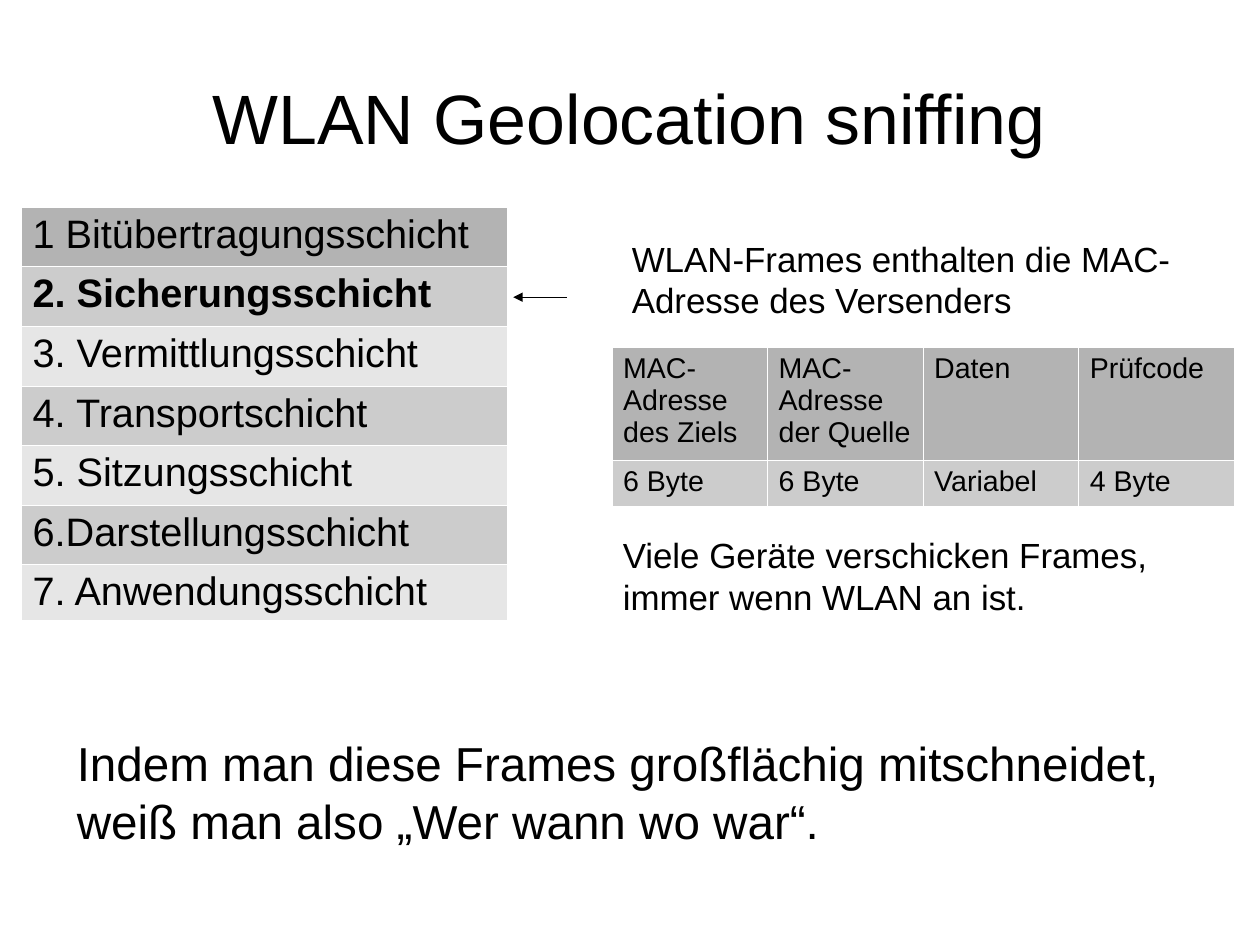
from dataclasses import dataclass

from lxml import etree
from pptx import Presentation
from pptx.dml.color import RGBColor
from pptx.enum.shapes import MSO_CONNECTOR
from pptx.enum.text import MSO_ANCHOR, PP_ALIGN
from pptx.oxml.ns import qn
from pptx.util import Pt

BLACK = RGBColor(0x00, 0x00, 0x00)
HEADER_GREY = RGBColor(0xB3, 0xB3, 0xB3)
MID_GREY = RGBColor(0xCC, 0xCC, 0xCC)
LIGHT_GREY = RGBColor(0xE6, 0xE6, 0xE6)
BORDER_COLOR = "FFFFFF"
BORDER_EMU = "720"

STRAIGHT = MSO_CONNECTOR.STRAIGHT
LEFT, CENTER = PP_ALIGN.LEFT, PP_ALIGN.CENTER
TOP, MIDDLE = MSO_ANCHOR.TOP, MSO_ANCHOR.MIDDLE


@dataclass
class TextBlock:
    lines: list[str]  # one paragraph each, \v breaks a line
    left: float
    top: float
    width: float
    height: float
    size: float
    align: PP_ALIGN = LEFT
    anchor: MSO_ANCHOR = TOP
    margins: tuple[float, float] = (7.2, 3.6)


@dataclass
class Grid:
    rows: list[list[str]]
    left: float
    top: float
    col_width: float
    row_heights: list[float]
    size: float
    bold_row: int | None = None


TEXTS = [
    TextBlock(["WLAN Geolocation sniffing"], 39.6, 23.76, 714.24, 99.36, 44,
              CENTER, MIDDLE, (0, 0)),
    TextBlock(["WLAN-Frames enthalten die MAC-\vAdresse des Versenders"],
              390.96, 145.8, 357.12, 80.64, 22),
    TextBlock(["Viele Geräte verschicken Frames,\vimmer wenn WLAN an ist."],
              385.2, 332.64, 385.2, 80.64, 22),
    TextBlock(["Indem man diese Frames großflächig mitschneidet,",
               "weiß man also „Wer wann wo war“."],
              41.3, 459, 700, 80.64, 30),
]

OSI_LAYERS = Grid(
    [["1 Bitübertragungsschicht"], ["2. Sicherungsschicht"],
     ["3. Vermittlungsschicht"], ["4. Transportschicht"],
     ["5. Sitzungsschicht"], ["6.Darstellungsschicht"],
     ["7. Anwendungsschicht"]],
    13.4, 130.3, 306, [37.55] * 6 + [35.2], 25, bold_row=1)

FRAME_FIELDS = Grid(
    [["MAC-Adresse des Ziels", "MAC-Adresse der Quelle", "Daten", "Prüfcode"],
     ["6 Byte", "6 Byte", "Variabel", "4 Byte"]],
    385.3, 218.4, 98, [71.5, 29], 18)


def style_runs(p, size: float, bold: bool = False) -> None:
    formats = {"name": "Arial", "size": Pt(size), "bold": bold}
    for r in p.runs:
        for name, value in formats.items():
            setattr(r.font, name, value)
        r.font.color.rgb = BLACK


def add_text(s, block: TextBlock) -> None:
    box = s.shapes.add_textbox(Pt(block.left), Pt(block.top),
                               Pt(block.width), Pt(block.height))
    tf = box.text_frame
    side, edge = map(Pt, block.margins)
    formats = {"word_wrap": True, "vertical_anchor": block.anchor,
               "margin_left": side, "margin_right": side,
               "margin_top": edge, "margin_bottom": edge}
    for name, value in formats.items():
        setattr(tf, name, value)
    for i, line in enumerate(block.lines):
        p = tf.add_paragraph() if i else tf.paragraphs[0]
        p.text = line
        p.alignment = block.align
        style_runs(p, block.size)


def add_borders(cell) -> None:
    tc_pr = cell._tc.get_or_add_tcPr()
    for side in ("lnL", "lnR", "lnT", "lnB"):
        ln = etree.SubElement(tc_pr, qn(f"a:{side}"), w=BORDER_EMU)
        fill = etree.SubElement(ln, qn("a:solidFill"))
        etree.SubElement(fill, qn("a:srgbClr"), val=BORDER_COLOR)


def row_fill(row: int) -> RGBColor:
    if row == 0:
        return HEADER_GREY
    return MID_GREY if row % 2 else LIGHT_GREY


def add_grid(s, grid: Grid) -> None:
    columns = len(grid.rows[0])
    table = s.shapes.add_table(
        len(grid.rows), columns, Pt(grid.left), Pt(grid.top),
        Pt(grid.col_width * columns), Pt(sum(grid.row_heights))).table
    table.first_row = table.horz_banding = False
    for column in table.columns:
        column.width = Pt(grid.col_width)
    for i, (texts, height) in enumerate(zip(grid.rows, grid.row_heights)):
        table.rows[i].height = Pt(height)
        for j, text in enumerate(texts):
            cell = table.cell(i, j)
            cell.text = text
            style_runs(cell.text_frame.paragraphs[0], grid.size,
                       i == grid.bold_row)
            add_borders(cell)
            cell.fill.solid()
            cell.fill.fore_color.rgb = row_fill(i)


def add_arrow(s, x1: float, x2: float, y: float) -> None:
    arrow = s.shapes.add_connector(STRAIGHT, Pt(x1), Pt(y), Pt(x2), Pt(y))
    arrow.line.color.rgb = BLACK
    ln = arrow.line._get_or_add_ln()
    ln.set("w", "0")  # hairline
    etree.SubElement(ln, qn("a:tailEnd"), type="triangle")
    etree.SubElement(arrow._element.spPr, qn("a:effectLst"))


def main() -> None:
    prs = Presentation()
    prs.slide_width, prs.slide_height = Pt(793.7), Pt(595.28)
    s = prs.slides.add_slide(prs.slide_layouts[6])

    # Layer table with the arrow to the data link layer
    add_grid(s, OSI_LAYERS)
    add_arrow(s, 357.12, 323.28, 187.2)

    # Frame structure
    add_grid(s, FRAME_FIELDS)

    # Title and statements
    for block in TEXTS:
        add_text(s, block)

    prs.save("out.pptx")


if __name__ == "__main__":
    main()
